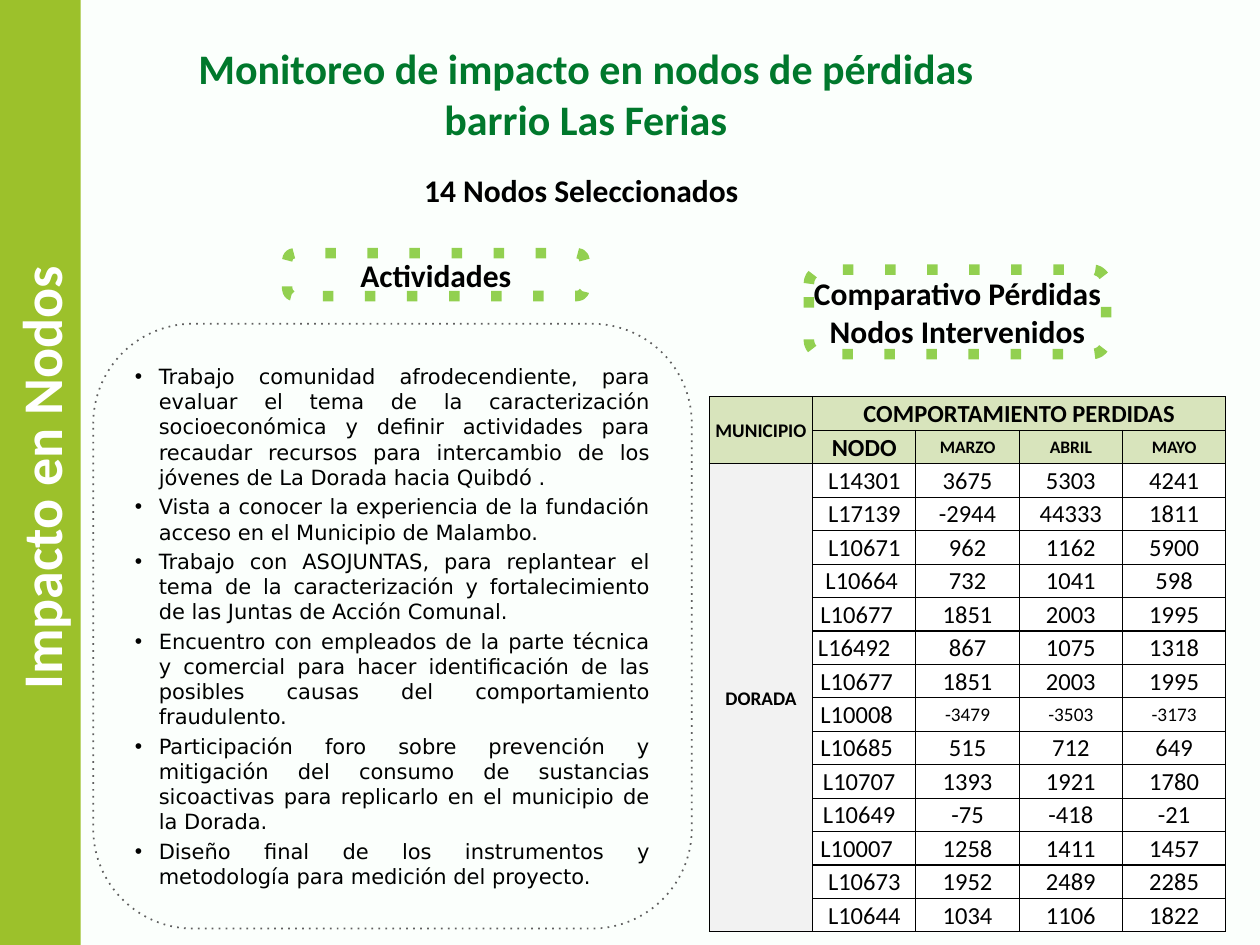
import pptx
import pptx.util
import pptx.dml.color
import pptx.enum.dml
import pptx.enum.shapes
import pptx.enum.text
import pptx.oxml
import pptx.oxml.ns

Inches, Pt = pptx.util.Inches, pptx.util.Pt
RGB = pptx.dml.color.RGBColor.from_string
SHAPE = pptx.enum.shapes.MSO_SHAPE
ALIGN = pptx.enum.text.PP_ALIGN
ANCHOR = pptx.enum.text.MSO_ANCHOR
qn = pptx.oxml.ns.qn

THEME = {
    "background": "FBFFFC", "bar": "9CC12B", "title": "00782C", "text": "000000",
    "white": "FFFFFF", "tag_line": "92D050", "panel_line": "606060",
    "head_fill": "D8E4BC", "town_fill": "F2F2F2",
    "font": "Calibri", "body_font": "DejaVu Sans",
    "bar_size": 32, "title_size": 24, "heading_size": 18, "body_size": 12,
    "cell_size": 14, "label_size": 11, "month_size": 10,
}

SIDE_TITLE = "Impacto en Nodos"
TITLE = "Monitoreo de impacto en nodos de pérdidas barrio Las Ferias"
SUBTITLE = "14 Nodos Seleccionados"
TAGS = [
    ("Actividades", (2.28, 2.01, 2.36, 0.34)),
    ("Comparativo Pérdidas Nodos Intervenidos", (6.42, 2.14, 2.36, 0.67)),
]
ACTIVITIES = [
    "Trabajo comunidad afrodecendiente, para evaluar el tema de la caracterización "
    "socioeconómica y definir actividades para recaudar recursos para intercambio "
    "de los jóvenes de La Dorada hacia Quibdó .",
    "Vista a conocer la experiencia de la fundación acceso en el Municipio de Malambo.",
    "Trabajo con ASOJUNTAS, para replantear el tema de la caracterización y "
    "fortalecimiento de las Juntas de Acción Comunal.",
    "Encuentro con empleados de la parte técnica y comercial para hacer "
    "identificación de las posibles causas del comportamiento fraudulento.",
    "Participación foro sobre prevención y mitigación del consumo de sustancias "
    "sicoactivas para replicarlo en el municipio de la Dorada.",
    "Diseño final de los instrumentos y metodología para medición del proyecto.",
]
MONTHS = ["MARZO", "ABRIL", "MAYO"]
# node, steps the label is moved to the left, losses per month
NODES = [
    ("L14301", 0, (3675, 5303, 4241)),
    ("L17139", 0, (-2944, 44333, 1811)),
    ("L10671", 0, (962, 1162, 5900)),
    ("L10664", 1, (732, 1041, 598)),
    ("L10677", 3, (1851, 2003, 1995)),
    ("L16492", 4, (867, 1075, 1318)),
    ("L10677", 3, (1851, 2003, 1995)),
    ("L10008", 3, (-3479, -3503, -3173)),
    ("L10685", 3, (515, 712, 649)),
    ("L10707", 2, (1393, 1921, 1780)),
    ("L10649", 2, (-75, -418, -21)),
    ("L10007", 3, (1258, 1411, 1457)),
    ("L10673", 0, (1952, 2489, 2285)),
    ("L10644", 0, (1034, 1106, 1822)),
]
SMALL_NODE = "L10008"
TABLE_LEFT, TABLE_TOP, TABLE_HEIGHT, COL_WIDTH = 5.63, 3.15, 4.25, 0.82
LABEL_STEP = 0.04


def style_font(font, size, color="text", bold=True, name="font"):
    values = {"size": Pt(THEME[size]), "bold": bold, "name": THEME[name]}
    for key, value in values.items():
        setattr(font, key, value)
    font.color.rgb = RGB(THEME[color])


def set_frame(tf, insets=(0.1, 0.05, 0.1, 0.05), anchor=ANCHOR.TOP):
    """Wrap the text and set its left, top, right and bottom insets."""
    tf.word_wrap = True
    tf.vertical_anchor = anchor
    for side, inset in zip(("left", "top", "right", "bottom"), insets):
        setattr(tf, "margin_" + side, Inches(inset))


def write(tf, text, size, **style):
    p = tf.paragraphs[0]
    p.alignment = ALIGN.CENTER
    r = p.add_run()
    r.text = text
    style_font(r.font, size, **style)


def add_box(s, kind, place):
    sp = s.shapes.add_shape(kind, *map(Inches, place))
    sp.shadow.inherit = False
    return sp


def add_dotted_box(s, place, color, width):
    sp = add_box(s, SHAPE.ROUNDED_RECTANGLE, place)
    sp.fill.background()
    sp.line.color.rgb = RGB(THEME[color])
    sp.line.width = Pt(width)
    sp.line.dash_style = pptx.enum.dml.MSO_LINE.ROUND_DOT
    sp.line._ln.find(qn("a:prstDash")).set("val", "dot")
    return sp


def add_heading(s, text, place, size, color="text"):
    tf = s.shapes.add_textbox(*map(Inches, place)).text_frame
    set_frame(tf)
    write(tf, text, size, color=color)


def add_side_bar(s):
    sp = add_box(s, SHAPE.RECTANGLE, (-3.43, 3.43, 7.5, 0.64))
    sp.rotation = 270
    sp.fill.solid()
    sp.fill.fore_color.rgb = RGB(THEME["bar"])
    sp.line.fill.background()
    set_frame(sp.text_frame, (0.1, 0.05, 0.18, 0.05))
    write(sp.text_frame, SIDE_TITLE, "bar_size", color="white")


def add_activities(s):
    tf = add_dotted_box(s, (0.74, 2.57, 4.75, 4.8), "panel_line", 1).text_frame
    set_frame(tf, anchor=ANCHOR.MIDDLE)
    for i, text in enumerate(ACTIVITIES):
        p = tf.add_paragraph() if i else tf.paragraphs[0]
        p.alignment = ALIGN.JUSTIFY
        if i:
            p.space_before = Pt(2.4)
        pPr = p._p.get_or_add_pPr()
        pPr.set("marL", str(Inches(0.19)))
        pPr.set("indent", str(-Inches(0.19)))
        bullet = pptx.oxml.ns.nsdecls("a")
        for xml in (f'<a:buClr {bullet}><a:srgbClr val="{THEME["text"]}"/></a:buClr>',
                    f'<a:buFont {bullet} typeface="Arial"/>',
                    f'<a:buChar {bullet} char="•"/>'):
            pPr.append(pptx.oxml.parse_xml(xml))
        r = p.add_run()
        r.text = text
        style_font(r.font, "body_size", bold=False, name="body_font")


def fill_cell(cell, text, size, fill="white", bold=False, shift=0):
    set_frame(cell, (0.01, 0.01, 0.01 + shift, 0), ANCHOR.MIDDLE)
    if text:
        write(cell.text_frame, text, size, bold=bold)
    tcPr = cell._tc.get_or_add_tcPr()
    for edge in ("lnL", "lnR", "lnT", "lnB"):
        tcPr.append(pptx.oxml.parse_xml(
            f'<a:{edge} {pptx.oxml.ns.nsdecls("a")} w="{Pt(0.75)}"><a:solidFill>'
            f'<a:srgbClr val="{THEME["text"]}"/></a:solidFill></a:{edge}>'))
    cell.fill.solid()
    cell.fill.fore_color.rgb = RGB(THEME[fill])


def add_losses_table(s):
    n_rows, n_cols = len(NODES) + 2, len(MONTHS) + 2
    table = s.shapes.add_table(
        n_rows, n_cols, Inches(TABLE_LEFT), Inches(TABLE_TOP),
        Inches(COL_WIDTH * n_cols), Inches(TABLE_HEIGHT)).table
    for col in table.columns:
        col.width = Inches(COL_WIDTH)
    for row in table.rows:
        row.height = Inches(TABLE_HEIGHT / n_rows)

    heads = [["MUNICIPIO", "COMPORTAMIENTO PERDIDAS"] + [""] * len(MONTHS),
             ["", "NODO"] + MONTHS]
    for i, head in enumerate(heads):
        for j, text in enumerate(head):
            size = "label_size" if j == 0 else "month_size" if j > 1 else "cell_size"
            fill_cell(table.cell(i, j), text, size, "head_fill", True)
    for i, (node, steps, losses) in enumerate(NODES):
        row = i + len(heads)
        fill_cell(table.cell(row, 0), "" if i else "DORADA", "label_size", "town_fill", True)
        fill_cell(table.cell(row, 1), node, "cell_size", shift=steps * LABEL_STEP)
        size = "label_size" if node == SMALL_NODE else "cell_size"
        for j, loss in enumerate(losses, 2):
            fill_cell(table.cell(row, j), str(loss), size)
    for first, last in (((0, 0), (1, 0)), ((0, 1), (0, n_cols - 1)),
                        ((2, 0), (n_rows - 1, 0))):
        table.cell(*first).merge(table.cell(*last))


def main():
    prs = pptx.Presentation()
    prs.slide_width, prs.slide_height = Inches(10), Inches(7.5)
    s = prs.slides.add_slide(prs.slide_layouts[6])
    s.background.fill.solid()
    s.background.fill.fore_color.rgb = RGB(THEME["background"])
    add_side_bar(s)
    add_heading(s, TITLE, (1.38, 0.29, 6.54, 0.91), "title_size", "title")
    add_heading(s, SUBTITLE, (3.08, 1.31, 3.07, 0.4), "heading_size")
    for text, place in TAGS:
        tf = add_dotted_box(s, place, "tag_line", 6).text_frame
        set_frame(tf, (0, 0, 0, 0), ANCHOR.MIDDLE)
        write(tf, text, "heading_size")
    add_activities(s)
    add_losses_table(s)
    prs.save("out.pptx")


if __name__ == "__main__":
    main()
